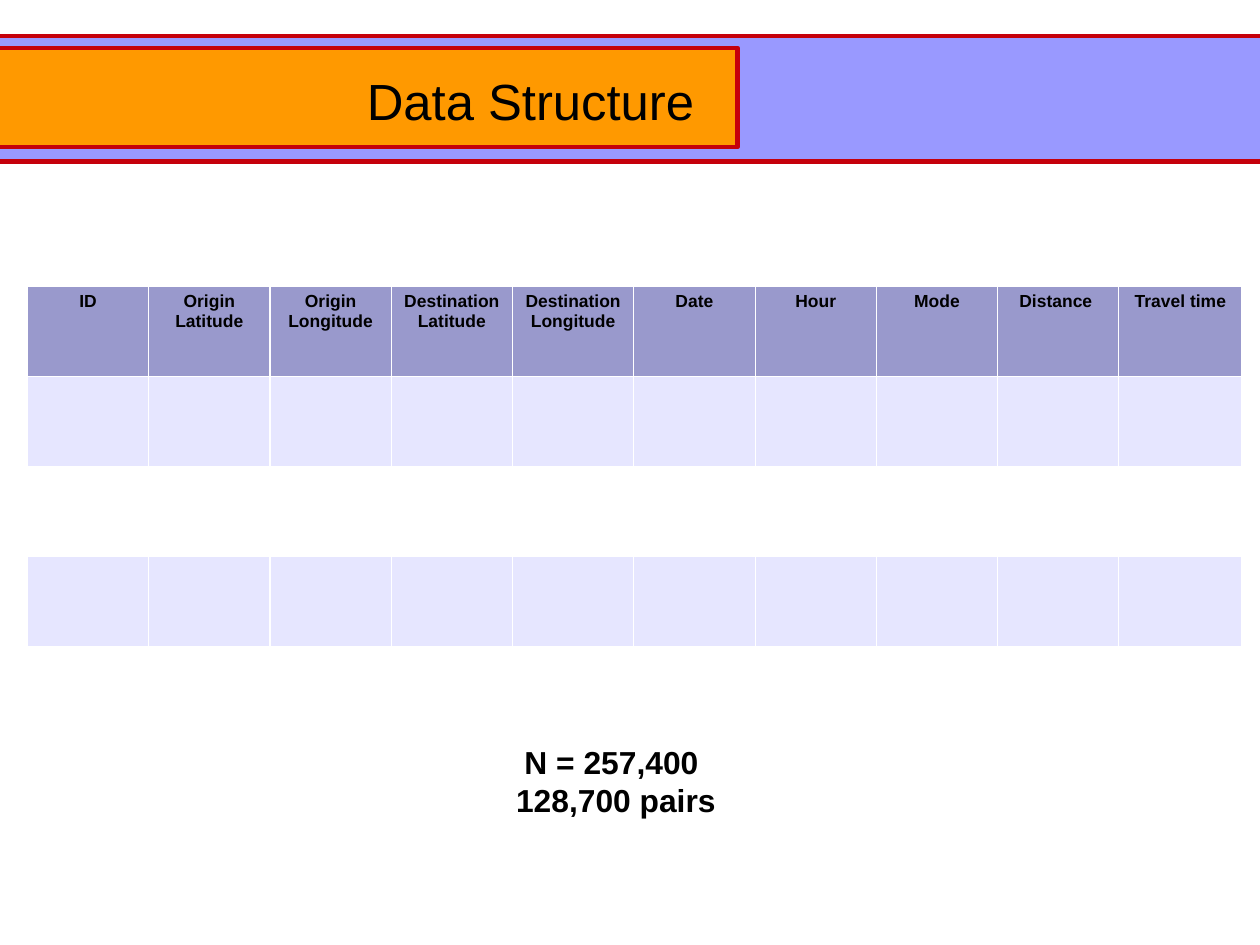
import pptx
import pptx.util
import pptx.dml.color
import pptx.enum.shapes
import pptx.enum.text
import pptx.oxml
import pptx.oxml.ns

Pt = pptx.util.Pt
RGBColor = pptx.dml.color.RGBColor

BLACK = RGBColor(0x00, 0x00, 0x00)
WHITE = RGBColor(0xFF, 0xFF, 0xFF)
RED = RGBColor(0xC5, 0x00, 0x0B)
ORANGE = RGBColor(0xFF, 0x99, 0x00)
PERIWINKLE = RGBColor(0x99, 0x99, 0xFF)
HEADER_VIOLET = RGBColor(0x99, 0x99, 0xCC)
PALE_VIOLET = RGBColor(0xE6, 0xE6, 0xFF)

SLIDE_WIDTH, SLIDE_HEIGHT = 793.7, 595.28
HEADINGS = ["ID", "Origin Latitude", "Origin Longitude", "Destination Latitude",
            "Destination Longitude", "Date", "Hour", "Mode", "Distance ", "Travel time"]


def write_text(text_frame, text, size, font="Arial", color=BLACK, bold=False,
               align=pptx.enum.text.PP_ALIGN.CENTER):
    for index, line in enumerate(text.split("\n")):
        paragraph = text_frame.add_paragraph() if index else text_frame.paragraphs[0]
        paragraph.alignment = align
        run = paragraph.add_run()
        run.text = line
        run.font.name = font
        run.font.size = Pt(size)
        run.font.bold = bold
        run.font.color.rgb = color


class SlideBuilder:
    def __init__(self, slide, outline=RED, outline_width=2.83, grid=WHITE, grid_width=0.75):
        self.slide = slide
        self.outline = outline
        self.outline_width = outline_width
        self.grid = grid
        self.grid_width = grid_width

    def rectangle(self, left, top, width, height, fill):
        shape = self.slide.shapes.add_shape(
            pptx.enum.shapes.MSO_SHAPE.RECTANGLE, Pt(left), Pt(top), Pt(width), Pt(height))
        shape.shadow.inherit = False
        shape.fill.solid()
        shape.fill.fore_color.rgb = fill
        shape.line.color.rgb = self.outline
        shape.line.width = Pt(self.outline_width)

    def text_box(self, left, top, width, height, text, inset=(7.2, 3.6),
                 anchor=pptx.enum.text.MSO_ANCHOR.TOP, **text_format):
        box = self.slide.shapes.add_textbox(Pt(left), Pt(top), Pt(width), Pt(height))
        frame = box.text_frame
        frame.word_wrap = True
        frame.vertical_anchor = anchor
        frame.margin_left = frame.margin_right = Pt(inset[0])
        frame.margin_top = frame.margin_bottom = Pt(inset[1])
        write_text(frame, text, **text_format)

    def cell_borders(self, cell):
        properties = cell._tc.get_or_add_tcPr()
        for side in ("lnL", "lnR", "lnT", "lnB"):
            properties.append(pptx.oxml.parse_xml(
                f'<a:{side} {pptx.oxml.ns.nsdecls("a")} w="{int(Pt(self.grid_width))}">'
                f'<a:solidFill><a:srgbClr val="{self.grid}"/></a:solidFill></a:{side}>'))

    def table(self, left, top, column_widths, row_height, headings, row_fills, **text_format):
        table = self.slide.shapes.add_table(
            len(row_fills), len(headings), Pt(left), Pt(top),
            Pt(sum(column_widths)), Pt(row_height * len(row_fills))).table
        table.first_row = table.horz_banding = False
        for column, width in zip(table.columns, column_widths):
            column.width = Pt(width)
        for row, fill in zip(table.rows, row_fills):
            row.height = Pt(row_height)
            for cell in row.cells:
                self.cell_borders(cell)
                cell.fill.solid()
                cell.fill.fore_color.rgb = fill
        for cell, heading in zip(table.rows[0].cells, headings):
            write_text(cell.text_frame, heading, **text_format)


presentation = pptx.Presentation()
presentation.slide_width = Pt(SLIDE_WIDTH)
presentation.slide_height = Pt(SLIDE_HEIGHT)
builder = SlideBuilder(presentation.slides.add_slide(presentation.slide_layouts[6]))

builder.rectangle(-22.3, 22.6, 833, 79.2, PERIWINKLE)
builder.rectangle(-17.3, 30.2, 482, 62.4, ORANGE)
builder.text_box(204, 27.4, 260.6, 71.3, "Data Structure", inset=(0, 0),
                 anchor=pptx.enum.text.MSO_ANCHOR.MIDDLE, size=32)
builder.table(17.3, 180.4, [76.4] * 9 + [77.4], 56.7, HEADINGS,
              [HEADER_VIOLET] + [PALE_VIOLET, WHITE] * 2, size=11, bold=True)
builder.text_box(113, 464, 550, 51.8, "N = 257,400 \n128,700 pairs", size=20, bold=True)

presentation.save("out.pptx")
